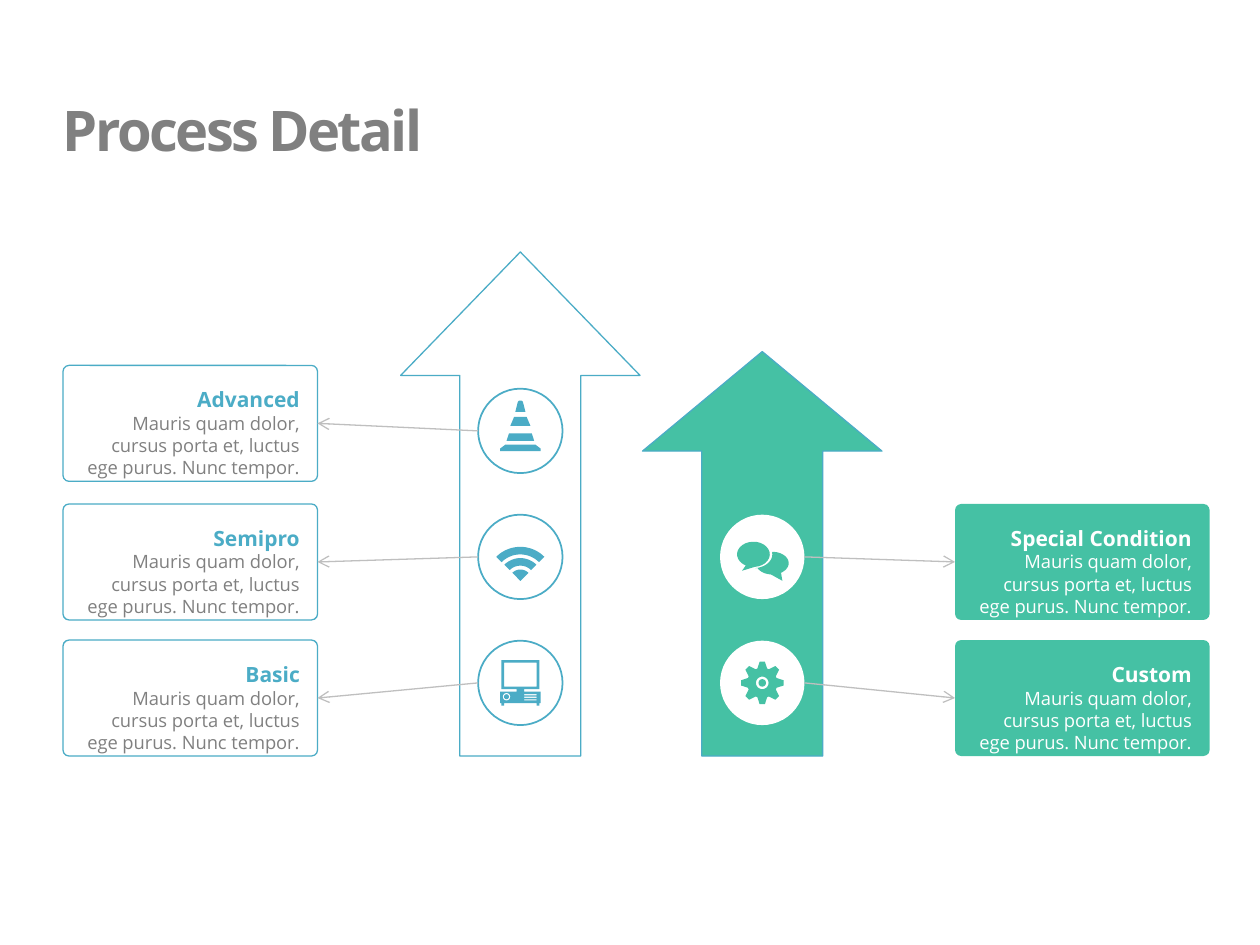
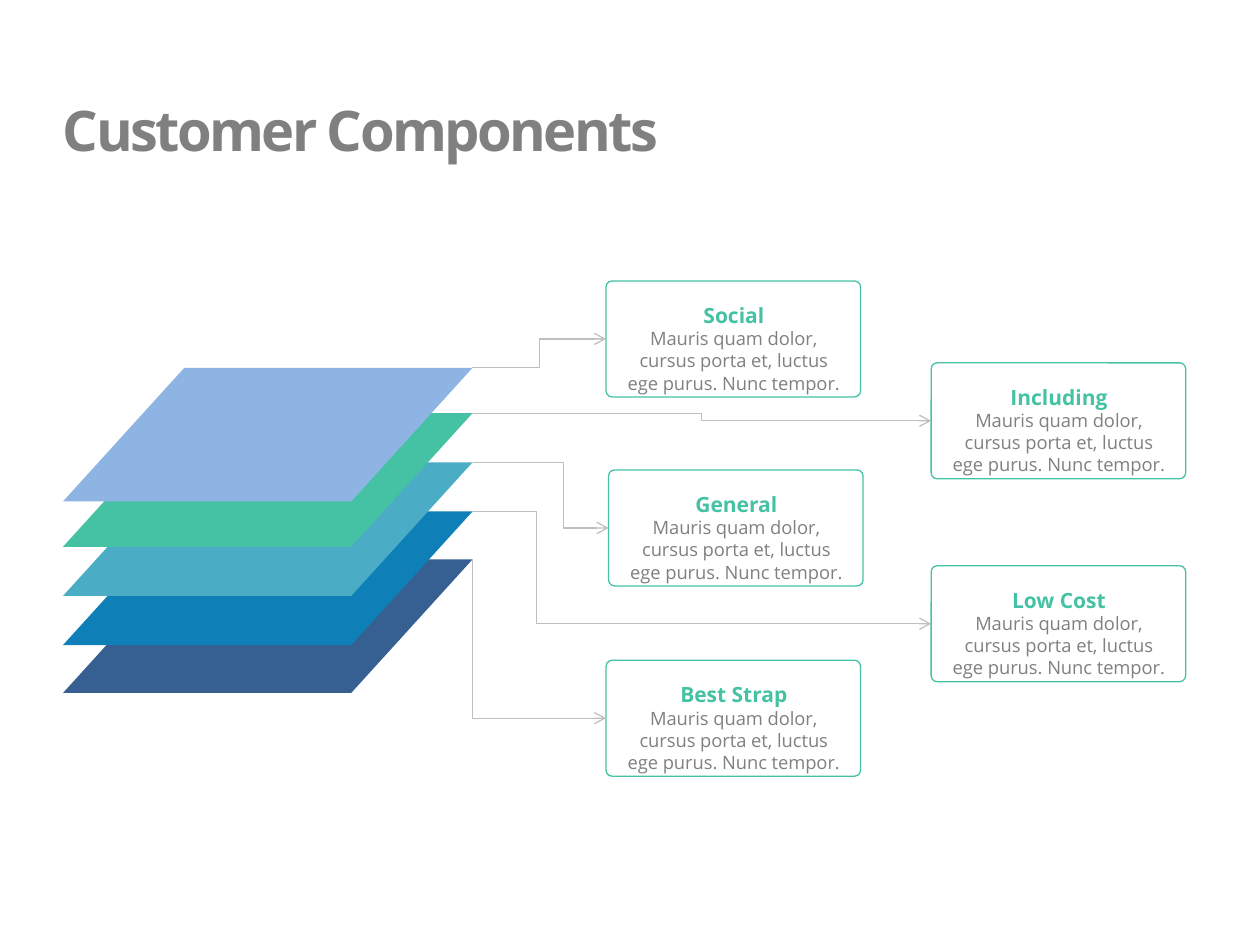
from math import cos, radians, sin

from lxml import etree
from pptx import Presentation
from pptx.dml.color import RGBColor
from pptx.enum.shapes import MSO_CONNECTOR, MSO_SHAPE
from pptx.enum.text import MSO_AUTO_SIZE, PP_ALIGN
from pptx.oxml.ns import qn
from pptx.util import Inches, Pt

OVAL, ROUND, SLANT = MSO_SHAPE.OVAL, MSO_SHAPE.ROUNDED_RECTANGLE, MSO_SHAPE.PARALLELOGRAM
STRAIGHT, ELBOW = MSO_CONNECTOR.STRAIGHT, MSO_CONNECTOR.ELBOW
RIGHT, CENTER, LEFT = PP_ALIGN.RIGHT, PP_ALIGN.CENTER, PP_ALIGN.LEFT
FIT = MSO_AUTO_SIZE.SHAPE_TO_FIT_TEXT
FONT = "Open Sans"
COLORS = {"sky": "8EB4E3", "green": "45C1A4", "aqua": "4BACC6", "blue": "0E7FB7",
          "navy": "376092", "gray": "808080", "rule": "BFBFBF", "white": "FFFFFF"}
BODY = "Mauris quam dolor, cursus porta et, luctus ege purus. Nunc tempor."
CARD_W, CARD_H = 2.02, 0.92
DISC = 0.67


def rgb(name):
    """Return the named colour."""
    return RGBColor.from_string(COLORS[name])


def paint(shape, fill=None, line=None, width=0.75):
    """Set fill and outline, and drop the shadow."""
    shape.shadow.inherit = False
    if fill:
        shape.fill.solid()
        shape.fill.fore_color.rgb = rgb(fill)
    else:
        shape.fill.background()
    if line:
        shape.line.color.rgb = rgb(line)
        shape.line.width = Pt(width)
    else:
        shape.line.fill.background()
    return shape


def add_form(slide, kind, x, y, w, h, **look):
    """Add a painted preset shape."""
    box = [Inches(v) for v in (x, y, w, h)]
    return paint(slide.shapes.add_shape(kind, *box), **look)


def add_disc(slide, x, y, r, **look):
    """Add a circle around a centre."""
    return add_form(slide, OVAL, x - r, y - r, 2 * r, 2 * r, **look)


def add_rings(slide, x, y, rings, **look):
    """Add one outline made of closed rings around a centre."""
    rings = [[(Inches(x + dx), Inches(y + dy)) for dx, dy in ring] for ring in rings]
    pen = slide.shapes.build_freeform(*rings[0][0])
    for i, ring in enumerate(rings):
        if i:
            pen.move_to(*ring[0])
        pen.add_line_segments(ring[1:], close=True)
    return paint(pen.convert_to_shape(), **look)


def mirror(half):
    """Close a right half with its reflection."""
    return half + [(-x, y) for x, y in reversed(half)]


def rect(x, y, right, low):
    """Return the corners of a rectangle."""
    return [(x, y), (right, y), (right, low), (x, low)]


def arc(x, y, rx, ry, start, end, steps=24):
    """Return points along an ellipse, clockwise from the right."""
    turns = [radians(start + (end - start) * i / steps) for i in range(steps + 1)]
    return [(x + rx * cos(t), y + ry * sin(t)) for t in turns]


def add_text(slide, x, y, w, h, text, align, wrap):
    """Add a text box and return its paragraphs."""
    box = slide.shapes.add_textbox(*[Inches(v) for v in (x, y, w, h)])
    frame = box.text_frame
    frame.word_wrap = wrap
    frame.auto_size = FIT
    frame.margin_left = frame.margin_right = Inches(0.05)
    frame.margin_top = frame.margin_bottom = Inches(0.03)
    frame.text = text
    for para in frame.paragraphs:
        para.alignment = align
    return frame.paragraphs


def style(para, size, color, bold):
    """Format the runs of a paragraph."""
    for run in para.runs:
        run.font.name = FONT
        run.font.size = Pt(size)
        run.font.bold = bold
        run.font.color.rgb = rgb(color)


def add_title(slide, text, w):
    """Add the slide title."""
    para = add_text(slide, 0.45, 0.73, w, 0.59, text, LEFT, False)[0]
    style(para, 32, "gray", True)
    para.runs[0].font._element.set("spc", "-150")


def add_card(slide, x, y, head, align, tint, body="gray", **look):
    """Add a rounded card with heading and body."""
    card = add_form(slide, ROUND, x, y, CARD_W, CARD_H, **look)
    card.adjustments[0] = 0.052
    paras = add_text(slide, x + 0.1, y - 0.06, 1.83, 0.98, f"{head}\n{BODY}", align, True)
    paras[0].line_spacing = 2.0
    style(paras[0], 12, tint, True)
    style(paras[1], 10.5, body, False)
    return card


def add_link(slide, kind, x, y, card, side, bend=None):
    """Run an arrow from a point to one side of a card."""
    link = slide.shapes.add_connector(kind, Inches(x), Inches(y), Inches(x), Inches(y))
    link.end_connect(card, side)
    link.line.color.rgb = rgb("rule")
    link.line.width = Pt(0.75)
    etree.SubElement(link.line._get_or_add_ln(), qn("a:tailEnd"), type="arrow")
    props = link._element.spPr
    etree.SubElement(props, qn("a:effectLst"))
    if bend is not None:
        guides = props.find(qn("a:prstGeom")).get_or_add_avLst()
        etree.SubElement(guides, qn("a:gd"), name="adj1", fmla=f"val {round(bend * 100000)}")


def draw_cone(slide, x, y, tint):
    """Draw a traffic cone."""
    halves = [[(0.02, -0.23), (0.04, -0.15)],
              [(0.05, -0.11), (0.08, -0.04)],
              [(0.09, 0.02), (0.11, 0.08)],
              [(0.12, 0.11), (0.16, 0.14), (0.16, 0.16)]]
    halves[0].insert(0, (0.01, -0.24))
    add_rings(slide, x, y, [mirror(half) for half in halves], fill=tint)


def draw_waves(slide, x, y, tint):
    """Draw three radio waves over one centre."""
    for low, high in ((0, 0.09), (0.12, 0.18), (0.21, 0.27)):
        band = arc(0, 0.19, high, high, -135, -45) + arc(0, 0.19, low, low, -45, -135)
        add_rings(slide, x, y, [band], fill=tint)


def draw_desk(slide, x, y, tint):
    """Draw a desktop computer."""
    rings = [rect(-0.15, -0.18, 0.15, 0.05), rect(-0.13, -0.16, 0.13, 0.03),
             rect(-0.03, 0.05, 0.03, 0.07), rect(-0.16, 0.07, 0.16, 0.16),
             arc(-0.11, 0.11, 0.03, 0.03, 0, 360)]
    rings += [rect(s - 0.01, 0.16, s + 0.01, 0.18) for s in (-0.14, 0.14)]
    rings += [rect(0.03, top, 0.13, top + 0.01) for top in (0.09, 0.11, 0.13)]
    add_rings(slide, x, y, rings, fill=tint)
    add_disc(slide, x - 0.11, y + 0.11, 0.02, fill=tint)


def draw_chat(slide, x, y, tint):
    """Draw two speech bubbles, the right one behind the left."""
    back = (arc(0.08, 0.05, 0.13, 0.09, -90, 58) + [(0.16, 0.19)]
            + arc(0.08, 0.05, 0.13, 0.09, 95, 155)
            + arc(-0.07, -0.02, 0.15, 0.11, 85, -5))
    front = arc(-0.07, -0.02, 0.13, 0.1, 118, 445) + [(-0.16, 0.11)]
    for bubble in (back, front):
        add_rings(slide, x, y, [bubble], fill=tint)


def draw_gear(slide, x, y, tint):
    """Draw a gear with eight teeth."""
    tooth = ((-19, 0.12), (-7, 0.17), (7, 0.17), (19, 0.12))
    rim = [(r * cos(radians(base + turn)), r * sin(radians(base + turn)))
           for base in range(0, 360, 45) for turn, r in tooth]
    add_rings(slide, x, y, [rim, arc(0, 0, 0.05, 0.05, 0, 360)], fill=tint)
    add_disc(slide, x, y, 0.03, fill=tint)


def draw_track(slide, x, top, head, steps, card_x, side, align, arrow, disc, card):
    """Draw an upward arrow with its icons, cards and links."""
    half = [(0, 0), (0.95, head), (0.48, head), (0.48, 6 - top)]
    add_rings(slide, x, top, [mirror(half)], line="aqua", **arrow)
    edge = x + DISC / 2 * (1 if card_x > x else -1)
    for icon, y, name, card_y in steps:
        add_disc(slide, x, y, DISC / 2, **disc)
        icon(slide, x, y, arrow.get("fill", "aqua"))
        box = add_card(slide, card_x, card_y, name, align, **card)
        add_link(slide, STRAIGHT, edge, y, box, side)


def draw_process(slide):
    """Fill the slide with the two arrows."""
    add_title(slide, "Process Detail", 2.96)
    rows = (3.42, 4.42, 5.42)
    left = zip((draw_cone, draw_waves, draw_desk), rows,
               ("Advanced", "Semipro", "Basic"), (2.9, 4, 5.08))
    right = zip((draw_chat, draw_gear), rows[1:], ("Special Condition", "Custom"), (4, 5.08))
    draw_track(slide, 4.13, 2, 0.98, left, 0.5, 3, RIGHT, {},
               {"line": "aqua", "width": 1}, {"tint": "aqua", "line": "aqua"})
    draw_track(slide, 6.05, 2.79, 0.79, right, 7.58, 1, RIGHT, {"fill": "green"},
               {"fill": "white"}, {"tint": "white", "body": "white", "fill": "green"})


def draw_layers(slide):
    """Fill the slide with stacked layers and their cards."""
    add_title(slide, "Customer Components", 4.84)
    layers = (("sky", 2.92, "Social", 4.81, 2.23, None),
              ("green", 3.28, "Including", 7.39, 2.88, None),
              ("aqua", 3.67, "General", 4.83, 3.73, 0.67),
              ("blue", 4.06, "Low Cost", 7.39, 4.49, 0.14),
              ("navy", 4.44, "Best Strap", 4.81, 5.24, 0))
    for tint, top, *_ in reversed(layers):
        layer = add_form(slide, SLANT, 0.5, top, 3.25, 1.06, fill=tint)
        layer.adjustments[0] = 0.908
    for _, top, name, x, y, bend in layers:
        card = add_card(slide, x, y, name, CENTER, "green", line="green")
        add_link(slide, ELBOW, 3.75, top, card, 1, bend)


def main():
    """Build and save the deck."""
    deck = Presentation()
    deck.slide_width, deck.slide_height = Inches(10), Inches(7.5)
    for draw in (draw_process, draw_layers):
        draw(deck.slides.add_slide(deck.slide_layouts[6]))
    deck.save("out.pptx")


if __name__ == "__main__":
    main()
